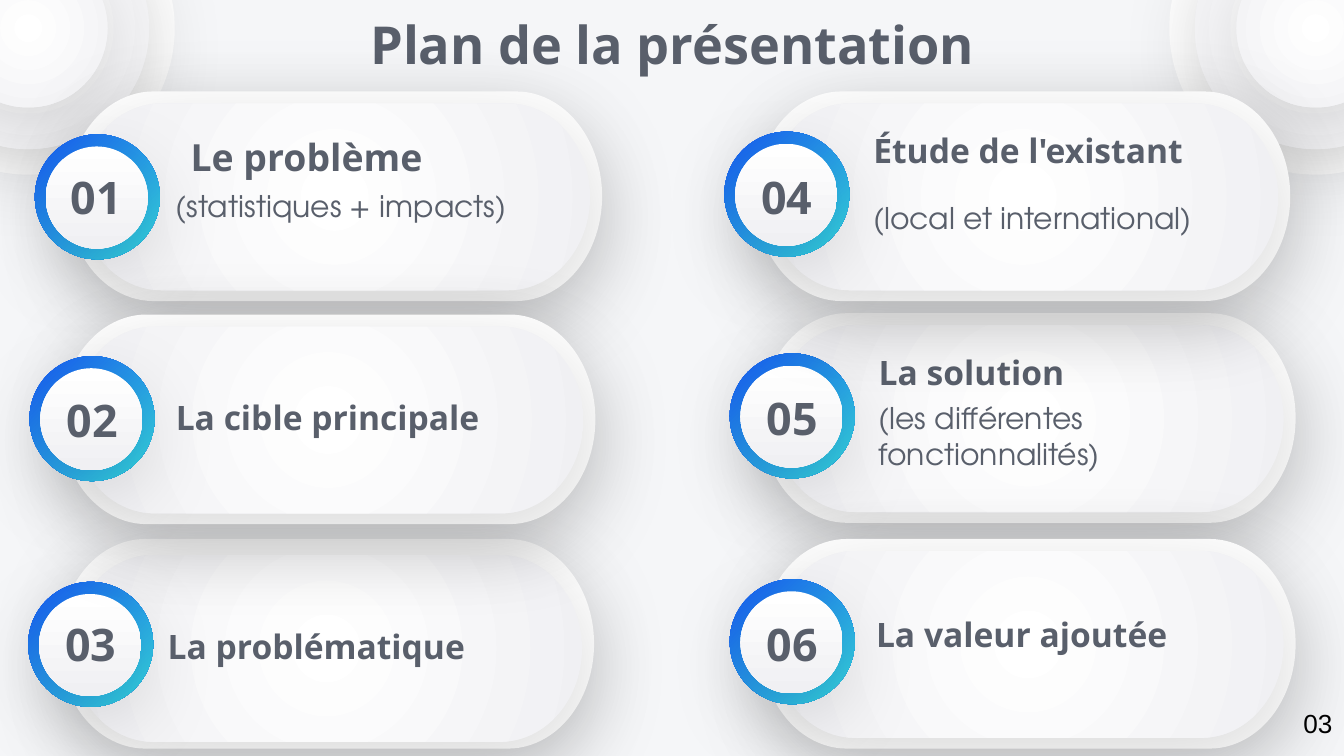
from pptx import Presentation
from pptx.dml.color import RGBColor
from pptx.enum.shapes import MSO_SHAPE
from pptx.enum.text import MSO_ANCHOR, MSO_AUTO_SIZE, PP_ALIGN
from pptx.oxml import parse_xml
from pptx.oxml.ns import nsdecls, qn
from pptx.util import Inches, Pt

ELLIPSE = MSO_SHAPE.OVAL
PILL = MSO_SHAPE.FLOWCHART_TERMINATOR
LEFT, CENTER = PP_ALIGN.LEFT, PP_ALIGN.CENTER
MIDDLE = MSO_ANCHOR.MIDDLE
NO_AUTOFIT = MSO_AUTO_SIZE.NONE

HEADING_FONT, DETAIL_FONT = "Noto Sans", "TeX Gyre Adventor"
INK = "595F6B"
SOFT = ("FFFFFF", "F0F0F3")
BLUE = ("1658F1", "36DBE0")
WHITE = ("FFFFFF",)

# Blur 45 pt, distance 11.2 pt, direction 85 degrees, opacity 15 %
SHADOW = (
    f'<a:outerShdw {nsdecls("a")} blurRad="571500" dist="142240" dir="5100000" '
    'algn="bl" rotWithShape="0"><a:srgbClr val="000000"><a:alpha val="15000"/>'
    "</a:srgbClr></a:outerShdw>"
)
RADIAL = (
    f'<a:path {nsdecls("a")} path="circle">'
    '<a:fillToRect l="50000" t="50000" r="50000" b="50000"/></a:path>'
)


def add_form(geometry, left, top, width, height, colors, angle=None, shadow=True):
    """Add a borderless shape; two colours without an angle give a radial fill."""
    shape = slide.shapes.add_shape(
        geometry, Inches(left), Inches(top), Inches(width), Inches(height))
    if len(colors) == 1:
        shape.fill.solid()
        shape.fill.fore_color.rgb = RGBColor.from_string(colors[0])
    else:
        shape.fill.gradient()
        for stop, color in zip(shape.fill.gradient_stops, colors):
            stop.color.rgb = RGBColor.from_string(color)
        if angle is None:
            linear = shape._element.spPr.find(".//" + qn("a:lin"))
            linear.getparent().replace(linear, parse_xml(RADIAL))
        else:
            shape.fill.gradient_angle = 360 - angle
    shape.line.fill.background()
    shape.shadow.inherit = False
    if shadow:
        effects = shape._element.spPr.find(qn("a:effectLst"))
        effects.append(parse_xml(SHADOW))
    if geometry == PILL:
        shape.rotation = 180


def write_text(shape, left, top, width, height, text, size,
               font=HEADING_FONT, bold=True, align=LEFT, color=INK):
    """Place a text shape and fill it with one formatted run."""
    shape.left, shape.top = Inches(left), Inches(top)
    shape.width, shape.height = Inches(width), Inches(height)
    frame = shape.text_frame
    frame.word_wrap = True
    frame.auto_size = NO_AUTOFIT
    frame.vertical_anchor = MIDDLE
    frame.margin_left = frame.margin_right = Inches(0.1)
    frame.margin_top = frame.margin_bottom = Inches(0.1)
    paragraph = frame.paragraphs[0]
    paragraph.alignment = align
    run = paragraph.add_run()
    run.text = text
    run.font.name = font
    run.font.size = Pt(size)
    run.font.bold = bold
    run.font.color.rgb = RGBColor.from_string(color)


# Widescreen slide, 16:9
presentation = Presentation()
presentation.slide_width = Inches(10)
presentation.slide_height = Inches(10) * 9 // 16
slide = presentation.slides.add_slide(presentation.slide_layouts[5])
slide.background.fill.solid()
slide.background.fill.fore_color.rgb = RGBColor.from_string("F5F6F8")

# Concentric circles in the top corners
for center_x in (0.21, 9.79):
    for diameter, colors in ((2.18, WHITE), (1.8, SOFT), (1.18, SOFT)):
        add_form(ELLIPSE, center_x - diameter / 2, 0.21 - diameter / 2,
                 diameter, diameter, colors, shadow=len(colors) > 1)

# Title
write_text(slide.shapes.title, 0.78, 0.12, 8.44, 0.41,
           "Plan de la présentation", 28, align=CENTER)

# Cards, back to front: number and its left, pill left and top, inner drop,
# ring left and top, heading (text, left, top, size), detail (text, left, top)
cards = [
    ("05", 5.47, 5.66, 2.33, 0.09, 5.43, 2.63, ("La solution", 6.44, 2.56, 18),
     ("(les différentes fonctionnalités)", 6.44, 2.99)),
    ("03", 0.25, 0.44, 4.01, 0.12, 0.21, 4.33, ("La problématique", 1.15, 4.6, 18), None),
    ("01", 0.29, 0.5, 0.68, 0.09, 0.26, 1, ("Le problème", 1.32, 0.96, 20),
     ("(statistiques + impacts)", 1.21, 1.28)),
    ("02", 0.26, 0.45, 2.34, 0.09, 0.22, 2.65, ("La cible principale", 1.21, 2.9, 18), None),
    ("04", 5.43, 5.62, 0.68, 0.09, 5.39, 0.98, ("Étude de l'existant", 6.4, 0.91, 18),
     ("(local et international)", 6.4, 1.37)),
    ("06", 5.47, 5.66, 4.01, 0.09, 5.43, 4.31, ("La valeur ajoutée", 6.42, 4.51, 18), None),
]
for (number, number_left, left, top, inner_drop,
     ring_left, ring_top, heading, detail) in cards:
    add_form(PILL, left, top, 3.98, 1.56, WHITE)
    add_form(PILL, left + 0.09, top + inner_drop, 3.8, 1.39, SOFT)
    add_form(ELLIPSE, ring_left, ring_top, 0.93, 0.93, BLUE, angle=45, shadow=False)
    add_form(ELLIPSE, ring_left + 0.08, ring_top + 0.09, 0.76, 0.76, SOFT, angle=90)
    number_box = slide.shapes.add_textbox(0, 0, 0, 0)
    write_text(number_box, number_left, top + 0.49, 0.85, 0.58, number, 24, align=CENTER)
    text, text_left, text_top, size = heading
    heading_box = slide.shapes.add_textbox(0, 0, 0, 0)
    write_text(heading_box, text_left, text_top, 2.77, 0.41, text, size)
    if detail:
        text, text_left, text_top = detail
        detail_box = slide.shapes.add_textbox(0, 0, 0, 0)
        write_text(detail_box, text_left, text_top, 2.77, 0.5, text, 16,
                   font=DETAIL_FONT, bold=False)

# Page number
page_box = slide.shapes.add_textbox(0, 0, 0, 0)
write_text(page_box, 9.6, 5.21, 0.43, 0.34, "03", 14,
           font="Arial", bold=False, color="000000")
page_box.text_frame.word_wrap = False

presentation.save("out.pptx")
